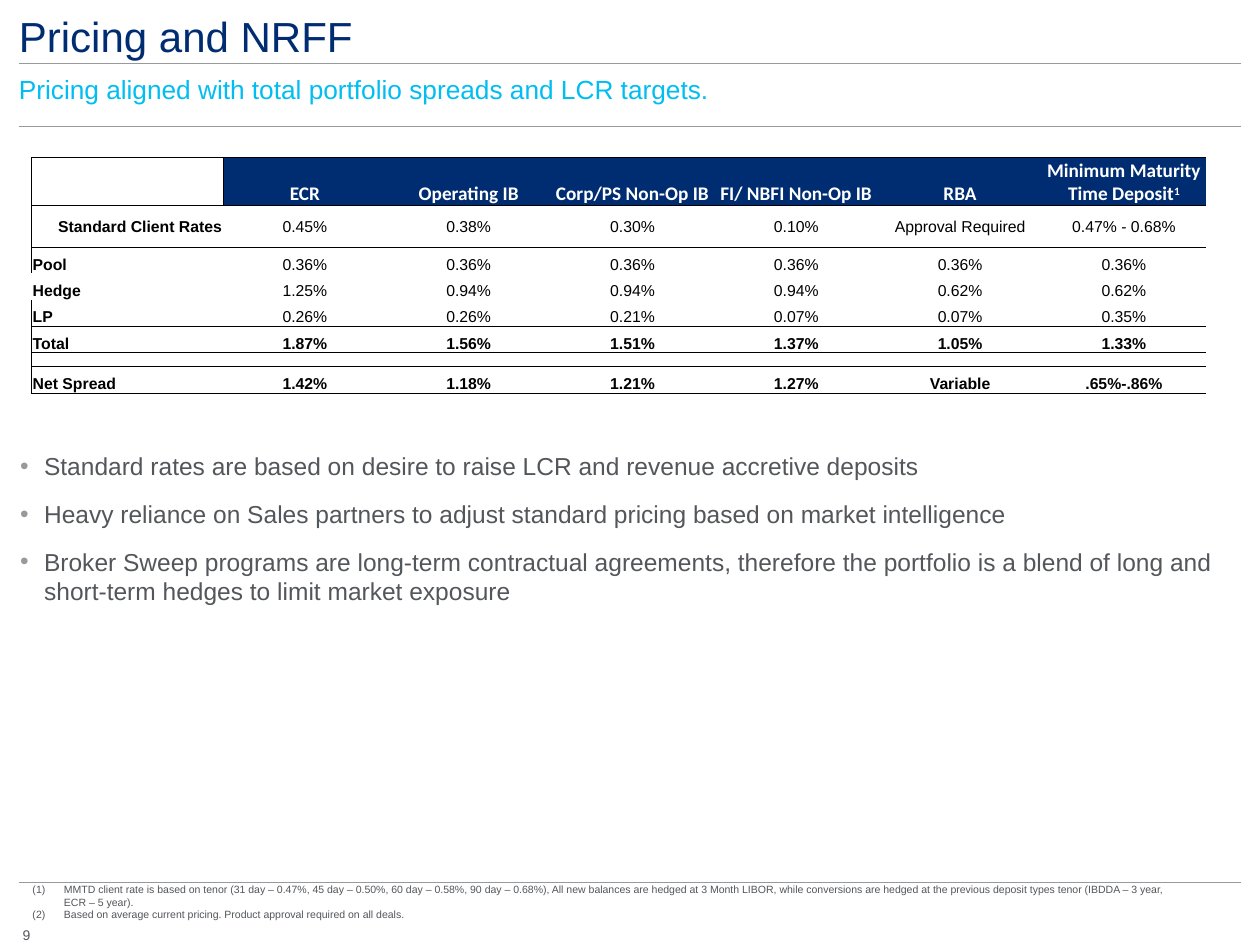
from dataclasses import dataclass

from lxml.etree import SubElement
from pptx import Presentation
from pptx.dml.color import RGBColor
from pptx.enum.shapes import MSO_CONNECTOR as Connector
from pptx.enum.text import MSO_ANCHOR as Anchor, PP_ALIGN as Align
from pptx.oxml.ns import qn
from pptx.util import Inches, Pt


@dataclass(frozen=True)
class Theme:
    navy: str = "002D72"
    cyan: str = "00BDF2"
    gray: str = "53565A"
    rule: str = "97999B"
    black: str = "000000"
    white: str = "FFFFFF"
    font: str = "Arial"
    header_font: str = "Calibri"
    title: float = 24
    subtitle: float = 15
    body: float = 14
    header: float = 11
    cell: float = 9
    page: float = 8
    note: float = 6
    spacer: float = 4
    line: float = 0.5


def rgb(color):
    return RGBColor.from_string(color)


def write(paragraph, text, size, color, font=Theme.font, bold=False,
          align=Align.LEFT, before=0, superscript=None):
    paragraph.alignment = align
    paragraph.space_before = Pt(before)
    for content, raised in ((text, False), (superscript, True)):
        if content:
            run = paragraph.add_run()
            run.text = content
            run.font.size, run.font.name, run.font.bold = Pt(size), font, bold
            run.font.color.rgb = rgb(color)
            if raised:
                run.font._element.set("baseline", "30000")


def add_bullet(paragraph, indent, color, char=None):
    props = paragraph._p.get_or_add_pPr()
    props.set("marL", str(Inches(indent)))
    props.set("indent", str(-Inches(indent)))
    SubElement(SubElement(props, qn("a:buClr")), qn("a:srgbClr"), val=color)
    SubElement(props, qn("a:buFont"), typeface=Theme.font)
    if char:
        SubElement(props, qn("a:buChar"), char=char)
    else:
        SubElement(props, qn("a:buAutoNum"), type="arabicParenBoth")


def set_borders(cell, sides, color, width):
    props = cell._tc.get_or_add_tcPr()
    for position, side in enumerate("LRTB"):
        line = props.makeelement(qn(f"a:ln{side}"), {"w": str(Pt(width))})
        if side in sides:
            SubElement(SubElement(line, qn("a:solidFill")), qn("a:srgbClr"), val=color)
        else:
            SubElement(line, qn("a:noFill"))
        props.insert(position, line)


class SlideBuilder:
    def __init__(self, slide, theme):
        self.slide, self.theme = slide, theme

    def frame(self, shape, box, anchor=Anchor.TOP, insets=(0, 0), wrap=True):
        shape.left, shape.top, shape.width, shape.height = map(Inches, box)
        frame = shape.text_frame
        frame.word_wrap, frame.vertical_anchor = wrap, anchor
        frame.margin_left = frame.margin_right = Inches(insets[0])
        frame.margin_top = frame.margin_bottom = Inches(insets[1])
        return frame

    def title(self, text, box):
        heading = self.slide.shapes.title
        heading.fill.solid()
        heading.fill.fore_color.rgb = rgb(self.theme.white)
        frame = self.frame(heading, box, Anchor.BOTTOM)
        write(frame.paragraphs[0], text, self.theme.title, self.theme.navy)

    def text(self, text, box, size, color, **layout):
        frame = self.frame(self.slide.shapes.add_textbox(0, 0, 0, 0), box, **layout)
        write(frame.paragraphs[0], text, size, color)

    def items(self, shape, texts, box, size, indent, color, char=None, before=0, **layout):
        frame = self.frame(shape, box, **layout)
        for index, text in enumerate(texts):
            paragraph = frame.add_paragraph() if index else frame.paragraphs[0]
            write(paragraph, text, size, self.theme.gray, before=before if index else 0)
            add_bullet(paragraph, indent, color, char)

    def rule(self, y):
        line = self.slide.shapes.add_connector(
            Connector.STRAIGHT, Inches(0.15), Inches(y), Inches(9.85), Inches(y))
        line.line.color.rgb = rgb(self.theme.rule)
        line.line.width = Pt(self.theme.line)
        SubElement(line._element.spPr, qn("a:effectLst"))

    def table(self, rows, box, widths):
        table = self.slide.shapes.add_table(
            len(rows), len(widths), *map(Inches, box)).table
        table.first_row = table.horz_banding = False
        for column, width in zip(table.columns, widths):
            column.width = Inches(width)
        for r, (height, sides, bold, values) in enumerate(rows):
            table.rows[r].height = Inches(height)
            for c, value in enumerate(values or [""] * len(widths)):
                self.cell(table.cell(r, c), value, r, c, sides, bold)

    def cell(self, cell, value, r, c, sides, bold):
        theme = self.theme
        is_header = r == 0 and c > 0
        cell.margin_left = cell.margin_right = cell.margin_top = Inches(0.01)
        cell.margin_bottom = 0
        cell.vertical_anchor = Anchor.MIDDLE if r == 1 else Anchor.BOTTOM
        if is_header:
            cell.fill.solid()
            cell.fill.fore_color.rgb = rgb(theme.navy)
        else:
            cell.fill.background()
        first_side = ("L" if sides and c == 0 else "") + ("R" if r == c == 0 else "")
        left_side = "L" if r == 0 and c == 1 else ""
        set_borders(cell, sides + first_side + left_side, theme.black, theme.line)
        paragraph = cell.text_frame.paragraphs[0]
        if not value:
            SubElement(paragraph._p, qn("a:endParaRPr"), sz=str(int(theme.spacer * 100)))
        elif is_header:
            name, _, mark = value.partition("^")
            write(paragraph, name, theme.header, theme.white, font=theme.header_font,
                  bold=True, align=Align.CENTER, superscript=mark)
        else:
            label_align = Align.RIGHT if r == 1 else Align.LEFT
            write(paragraph, value, theme.cell, theme.black, bold=bold or c == 0,
                  align=Align.CENTER if c else label_align)


RATES = [
    (0.38, "TB", True, ["", "ECR", "Operating IB", "Corp/PS Non-Op IB",
                        "FI/ NBFI Non-Op IB", "RBA", "Minimum Maturity Time Deposit^1"]),
    (0.33, "TB", False, ["Standard Client Rates", "0.45%", "0.38%", "0.30%", "0.10%",
                         "Approval Required", "0.47% - 0.68%"]),
    (0.21, "T", False, ["Pool"] + ["0.36%"] * 6),
    (0.21, "L", False, ["Hedge", "1.25%", "0.94%", "0.94%", "0.94%", "0.62%", "0.62%"]),
    (0.21, "B", False, ["LP", "0.26%", "0.26%", "0.21%", "0.07%", "0.07%", "0.35%"]),
    (0.21, "TB", True, ["Total", "1.87%", "1.56%", "1.51%", "1.37%", "1.05%", "1.33%"]),
    (0.11, "TB", False, None),
    (0.21, "TB", True, ["Net Spread", "1.42%", "1.18%", "1.21%", "1.27%",
                        "Variable", ".65%-.86%"]),
]
RATES[3] = (0.21, "", False, RATES[3][3])
POINTS = [
    "Standard rates are based on desire to raise LCR and revenue accretive deposits",
    "Heavy reliance on Sales partners to adjust standard pricing based on market intelligence",
    "Broker Sweep programs are long-term contractual agreements, therefore the portfolio "
    "is a blend of long and short-term hedges to limit market exposure",
]
FOOTNOTES = [
    "MMTD client rate is based on tenor (31 day – 0.47%, 45 day – 0.50%, 60 day – 0.58%, "
    "90 day – 0.68%), All new balances are hedged at 3 Month LIBOR, while conversions are "
    "hedged at the previous deposit types tenor (IBDDA – 3 year, ECR – 5 year).",
    "Based on average current pricing. Product approval required on all deals.",
]

theme = Theme()
deck = Presentation()
deck.slide_width, deck.slide_height = Inches(10), Inches(7.5)
pricing = deck.slides.add_slide(deck.slide_layouts[1])
builder = SlideBuilder(pricing, theme)

for y in (0.5, 1, 7):
    builder.rule(y)
builder.title("Pricing and NRFF", (0.15, 0.07, 9.69, 0.41))
builder.text("Pricing aligned with total portfolio spreads and LCR targets.",
             (0.15, 0.58, 9.69, 0.25), theme.subtitle, theme.cyan, anchor=Anchor.MIDDLE)
builder.table(RATES, (0.25, 1.25, 9.32, 1.87), [1.52] + [1.3] * 6)
builder.items(pricing.placeholders[1], POINTS, (0.16, 3.58, 9.69, 2.92), theme.body,
              0.19, theme.rule, char="•", before=10.5)
builder.items(pricing.shapes.add_textbox(0, 0, 0, 0), FOOTNOTES, (0.16, 6.96, 9.26, 0.4),
              theme.note, 0.25, theme.gray, insets=(0.1, 0.05))
builder.text("9", (0.18, 7.35, 0.06, 0.13), theme.page, theme.gray, wrap=False)

deck.save("out.pptx")
